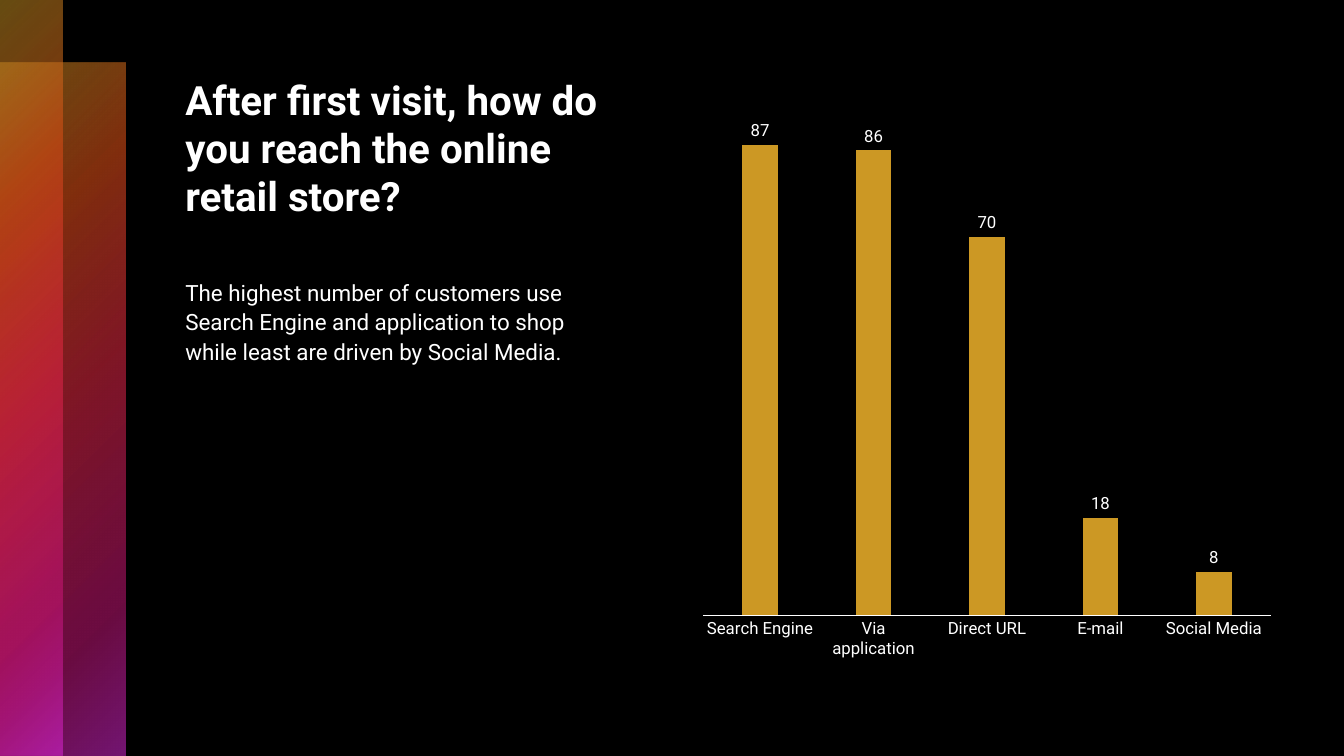
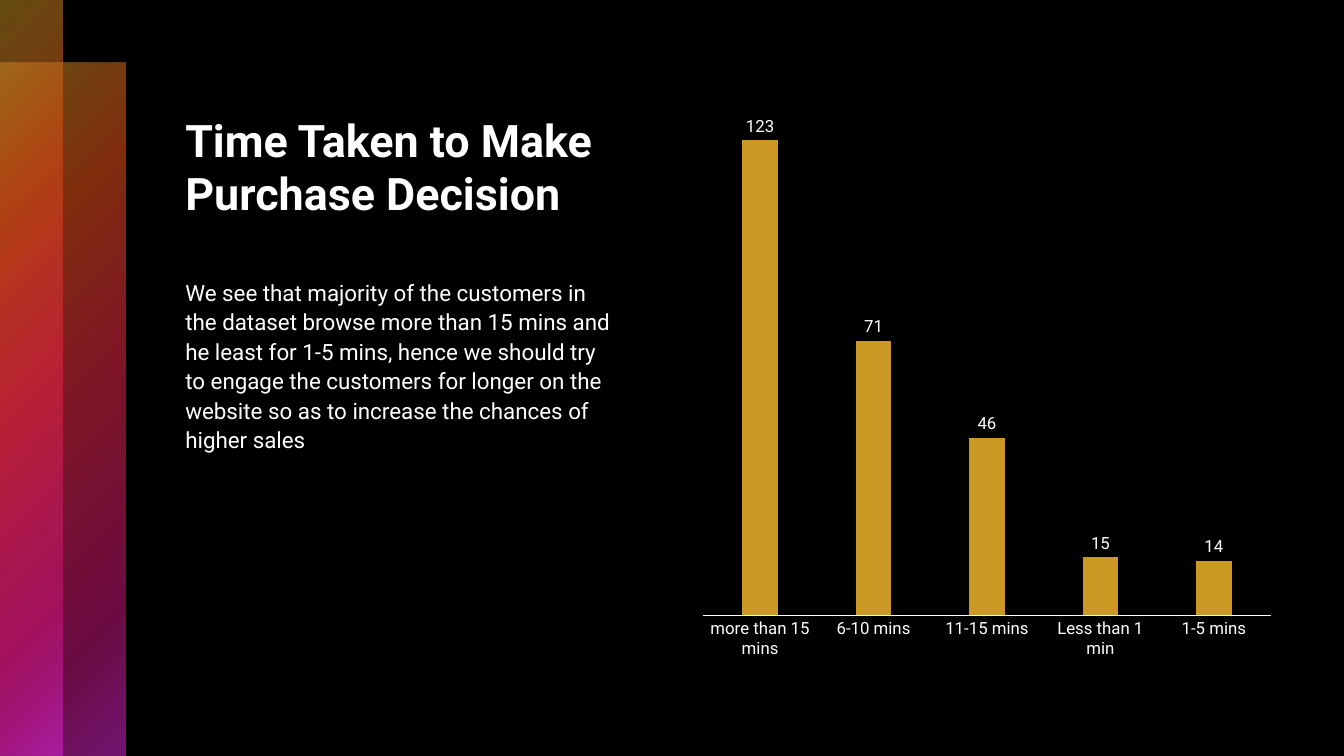
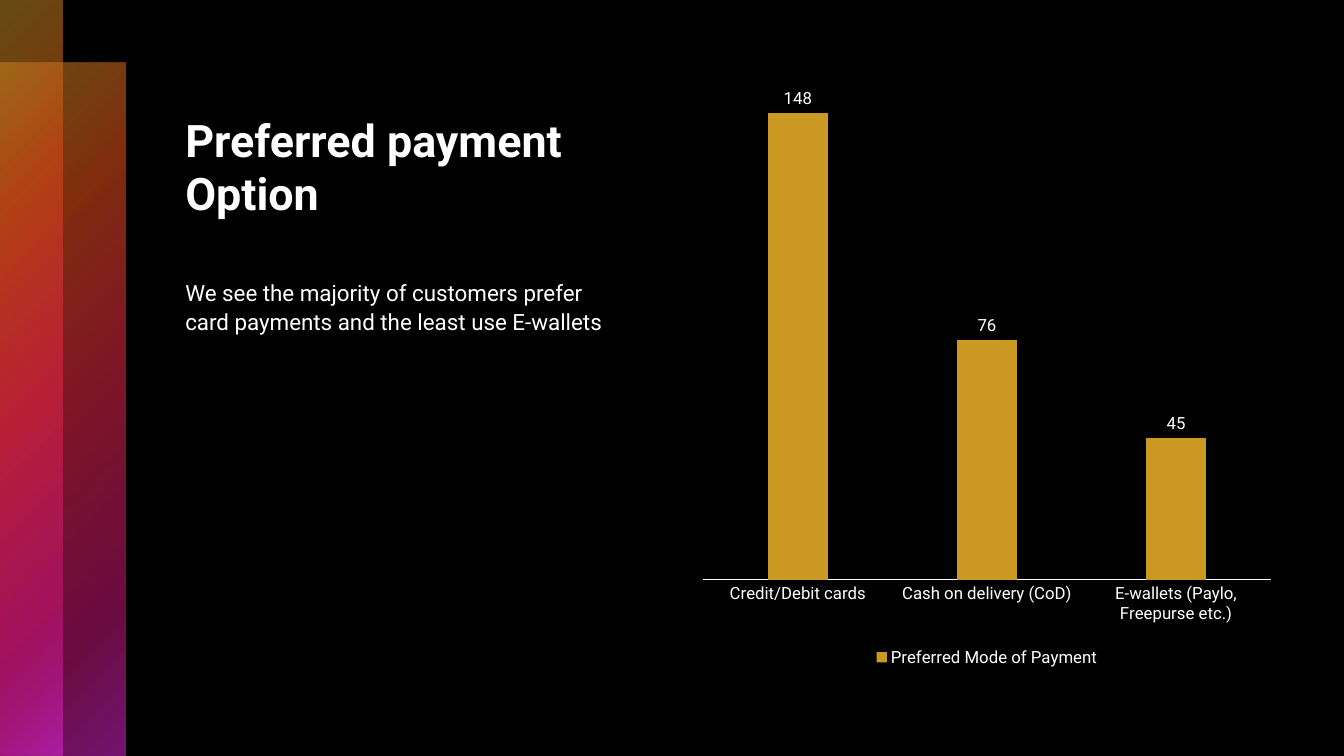
from pptx import Presentation
from pptx.chart.data import CategoryChartData
from pptx.dml.color import RGBColor
from pptx.enum.chart import XL_CHART_TYPE, XL_LABEL_POSITION, XL_LEGEND_POSITION, XL_TICK_MARK
from pptx.enum.shapes import MSO_SHAPE
from pptx.enum.text import MSO_ANCHOR
from pptx.oxml import parse_xml
from pptx.oxml.ns import nsdecls
from pptx.util import Inches, Pt

RECTANGLE = MSO_SHAPE.RECTANGLE
COLUMNS = XL_CHART_TYPE.COLUMN_CLUSTERED
OUTSIDE_END = XL_LABEL_POSITION.OUTSIDE_END
LEGEND_BOTTOM = XL_LEGEND_POSITION.BOTTOM
NO_TICK = XL_TICK_MARK.NONE
TOP, BOTTOM = MSO_ANCHOR.TOP, MSO_ANCHOR.BOTTOM

BLACK = RGBColor(0x00, 0x00, 0x00)
WHITE = RGBColor(0xFF, 0xFF, 0xFF)
GOLD = RGBColor(0xCC, 0x98, 0x24)
ORANGE = RGBColor(0xD5, 0x4C, 0x17)
RED = RGBColor(0xE7, 0x29, 0x44)
PINK = RGBColor(0xD5, 0x17, 0x81)
VIOLET = RGBColor(0xE7, 0x29, 0xE2)
BAND_STOPS = [(0, GOLD, 50), (25, ORANGE, 60), (50, RED, 55), (81, PINK, 50), (99, VIOLET, 50)]

FONT = "Roboto"
BLANK_LAYOUT = 6

# Areas are left, top, width and height in percent of the slide.
WIDE_BAND = (0, 8.27, 9.3, 91.73)
TALL_BAND = (0, 0, 4.65, 100)
TITLE_AREA = (13.05, 6.67, 33.16, 23.07)
BODY_AREA = (13.05, 35.87, 33.16, 49.73)
CHART_AREA = (51.46, 8.27, 43.96, 80.53)

SLIDES = [
    {
        "title": "After first visit, how do you reach the online retail store?",
        "title_size": 28.8,
        "body": "The highest number of customers use Search Engine and application to shop "
                "while least are driven by Social Media.",
        "series": "Series 1",
        "values": {"Search Engine": 87, "Via application": 86, "Direct URL": 70,
                   "E-mail": 18, "Social Media": 8},
        "legend": False,
    },
    {
        "title": "Time Taken to Make Purchase Decision",
        "title_size": 32,
        "body": "We see that majority of the customers in the dataset browse more than 15 mins "
                "and he least for 1-5 mins, hence we should try to engage the customers for "
                "longer on the website so as to increase the chances of higher sales",
        "series": "Series 1",
        "values": {"more than 15 mins": 123, "6-10 mins": 71, "11-15 mins": 46,
                   "Less than 1 min": 15, "1-5 mins": 14},
        "legend": False,
    },
    {
        "title": "Preferred payment Option",
        "title_size": 32,
        "body": "We see the majority of customers prefer card payments and the least use E-wallets",
        "series": "Preferred Mode of Payment",
        "values": {"Credit/Debit cards": 148, "Cash on delivery (CoD)": 76,
                   "E-wallets (Paylo, Freepurse etc.)": 45},
        "legend": True,
    },
]


class SurveyDeck:
    """Holds the deck style and the current slide, and draws each kind of element."""

    def __init__(self):
        self.deck = Presentation()
        self.deck.slide_width, self.deck.slide_height = Inches(13.33), Inches(7.5)
        backdrop = self.deck.slide_master.background.fill
        backdrop.solid()
        backdrop.fore_color.rgb = BLACK
        self.page = None

    def place(self, area):
        sides = (self.deck.slide_width, self.deck.slide_height) * 2
        return [round(side * share / 100) for side, share in zip(sides, area)]

    def add_page(self):
        self.page = self.deck.slides.add_slide(self.deck.slide_layouts[BLANK_LAYOUT])
        for area in (WIDE_BAND, TALL_BAND):
            self.add_band(area)

    def add_band(self, area):
        band = self.page.shapes.add_shape(RECTANGLE, *self.place(area))
        band.shadow.inherit = False
        band.line.fill.background()
        band.fill.background()
        stops = "".join(
            f'<a:gs pos="{position * 1000}"><a:srgbClr val="{color}">'
            f'<a:alpha val="{opacity * 1000}"/></a:srgbClr></a:gs>'
            for position, color, opacity in BAND_STOPS
        )
        gradient = parse_xml(
            f'<a:gradFill {nsdecls("a")} rotWithShape="1"><a:gsLst>{stops}</a:gsLst>'
            '<a:path path="circle"><a:fillToRect r="100000" b="100000"/></a:path></a:gradFill>'
        )
        properties = band.element.spPr
        properties.replace(properties.find("{*}noFill"), gradient)

    def style_font(self, font, size):
        font.name, font.size = FONT, Pt(size)
        font.color.rgb = WHITE

    def add_text(self, area, text, size, anchor=TOP, bold=False, spacing=1):
        frame = self.page.shapes.add_textbox(*self.place(area)).text_frame
        frame.word_wrap = True
        frame.vertical_anchor = anchor
        frame.text = text
        para = frame.paragraphs[0]
        para.line_spacing = spacing
        for span in para.runs:
            self.style_font(span.font, size)
            span.font.bold = bold

    def add_columns(self, area, name, values, legend):
        data = CategoryChartData()
        data.categories = list(values)
        data.add_series(name, list(values.values()))
        chart = self.page.shapes.add_chart(COLUMNS, *self.place(area), data).chart
        self.style_font(chart.font, 12)
        chart.has_title = False
        chart.has_legend = legend
        if legend:
            chart.legend.position = LEGEND_BOTTOM
            chart.legend.include_in_layout = False
            self.style_font(chart.legend.font, 12)

        chart.value_axis.visible = False
        chart.value_axis.has_major_gridlines = False
        axis = chart.category_axis
        axis.major_tick_mark = axis.minor_tick_mark = NO_TICK
        axis.format.line.color.rgb = WHITE
        axis.format.line.width = Pt(0.75)
        self.style_font(axis.tick_labels.font, 12)

        plot = chart.plots[0]
        plot.vary_by_categories = False
        plot.gap_width, plot.overlap = 219, -27
        plot.has_data_labels = True
        labels = plot.data_labels
        labels.show_value = True
        labels.position = OUTSIDE_END
        self.style_font(labels.font, 12)
        columns = plot.series[0].format.fill
        columns.solid()
        columns.fore_color.rgb = GOLD


def main():
    survey = SurveyDeck()
    for content in SLIDES:
        survey.add_page()
        survey.add_text(TITLE_AREA, content["title"], content["title_size"], BOTTOM, bold=True)
        survey.add_columns(CHART_AREA, content["series"], content["values"], content["legend"])
        survey.add_text(BODY_AREA, content["body"], 16, spacing=1.1)
    survey.deck.save("out.pptx")


if __name__ == "__main__":
    main()
